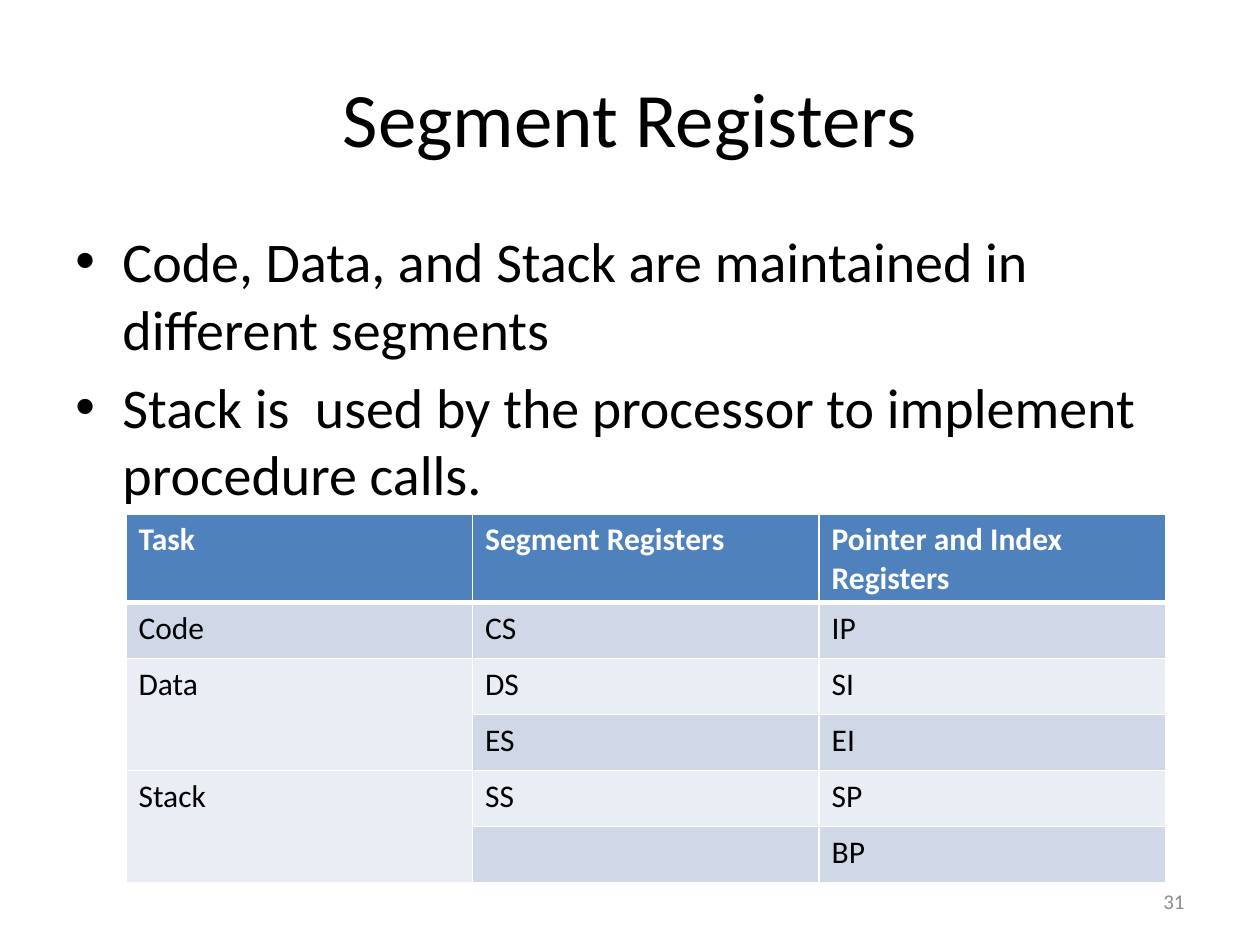
from pptx import Presentation, util as u
from pptx.dml.color import RGBColor
from pptx.enum import text
from pptx.oxml import parse_xml
from pptx.oxml.ns import nsdecls, qn
from lxml import etree

COLORS = {"ink": "000000", "white": "FFFFFF", "header": "4F81BD",
          "odd": "D0D8E8", "even": "E9EDF4", "number": "8C8C8C"}
FONT = "Calibri"
BULLETS = [["Code, Data, and Stack are maintained in different segments"],
           ["Stack is  used by the processor to implement", "procedure calls."]]
ROWS = [["Task", "Segment Registers", "Pointer and Index Registers"],
        ["Code", "CS", "IP"],
        ["Data", "DS", "SI"],
        ["", "ES", "EI"],
        ["Stack", "SS", "SP"],
        ["", "", "BP"]]
MERGED_ROWS = [(2, 3), (4, 5)]
HEADER_H, ROW_H = 1.78, 1.13


def add_run(p, words, size, color, bold=False):
    r = p.add_run()
    r.text = words
    r.font.name = FONT
    r.font.size = u.Pt(size)
    r.font.bold = bold
    r.font.color.rgb = RGBColor.from_string(COLORS[color])


def add_box(s, box, anchor):
    tf = s.shapes.add_textbox(*(u.Cm(v) for v in box)).text_frame
    tf.word_wrap = True
    tf.vertical_anchor = anchor
    return tf


def add_line(s, box, words, size, color, align):
    p = add_box(s, box, text.MSO_ANCHOR.MIDDLE).paragraphs[0]
    p.alignment = align
    add_run(p, words, size, color)


def add_bullets(s, box):
    tf = add_box(s, box, text.MSO_ANCHOR.TOP)
    for i, lines in enumerate(BULLETS):
        p = tf.add_paragraph() if i else tf.paragraphs[0]
        p.space_before = u.Pt(6.4)
        pPr = p._p.get_or_add_pPr()
        pPr.set("marL", str(u.Cm(0.95)))
        pPr.set("indent", str(-u.Cm(0.95)))
        etree.SubElement(pPr, qn("a:buFont")).set("typeface", "Arial")
        etree.SubElement(pPr, qn("a:buChar")).set("char", "•")
        for j, line in enumerate(lines):
            if j:
                p.add_line_break()
            add_run(p, line, 32, "ink")


def set_borders(cell, bottom):
    tcPr = cell._tc.get_or_add_tcPr()
    widths = {"lnL": 1, "lnR": 1, "lnT": 1, "lnB": bottom}
    for i, (tag, width) in enumerate(widths.items()):
        tcPr.insert(i, parse_xml(
            f'<a:{tag} {nsdecls("a")} w="{u.Pt(width)}"><a:solidFill>'
            f'<a:srgbClr val="{COLORS["white"]}"/></a:solidFill></a:{tag}>'))


def add_register_table(s, box):
    table = s.shapes.add_table(len(ROWS), len(ROWS[0]),
                               *(u.Cm(v) for v in box)).table
    for column in table.columns:
        column.width = u.Cm(box[2] / len(ROWS[0]))
    for i, row in enumerate(ROWS):
        header = i == 0
        table.rows[i].height = u.Cm(HEADER_H if header else ROW_H)
        fill = "header" if header else "odd" if i % 2 else "even"
        for j, words in enumerate(row):
            cell = table.cell(i, j)
            cell.fill.solid()
            cell.fill.fore_color.rgb = RGBColor.from_string(COLORS[fill])
            set_borders(cell, 3 if header else 1)
            if words:
                add_run(cell.text_frame.paragraphs[0], words, 18,
                        "white" if header else "ink", header)
    for first, last in MERGED_ROWS:
        table.cell(first, 0).merge(table.cell(last, 0))


def main():
    prs = Presentation()
    prs.slide_width, prs.slide_height = u.Cm(25.4), u.Cm(19.05)
    s = prs.slides.add_slide(prs.slide_layouts[6])
    add_line(s, (1.27, 0.76, 22.86, 3.18), "Segment Registers", 44, "ink",
             text.PP_ALIGN.CENTER)
    add_bullets(s, (1.27, 4.45, 22.86, 12.57))
    add_register_table(s, (2.54, 10.37, 20.96,
                           HEADER_H + ROW_H * (len(ROWS) - 1)))
    add_line(s, (18.2, 17.66, 5.93, 1.01), "31", 12, "number",
             text.PP_ALIGN.RIGHT)
    prs.save("out.pptx")


if __name__ == "__main__":
    main()
